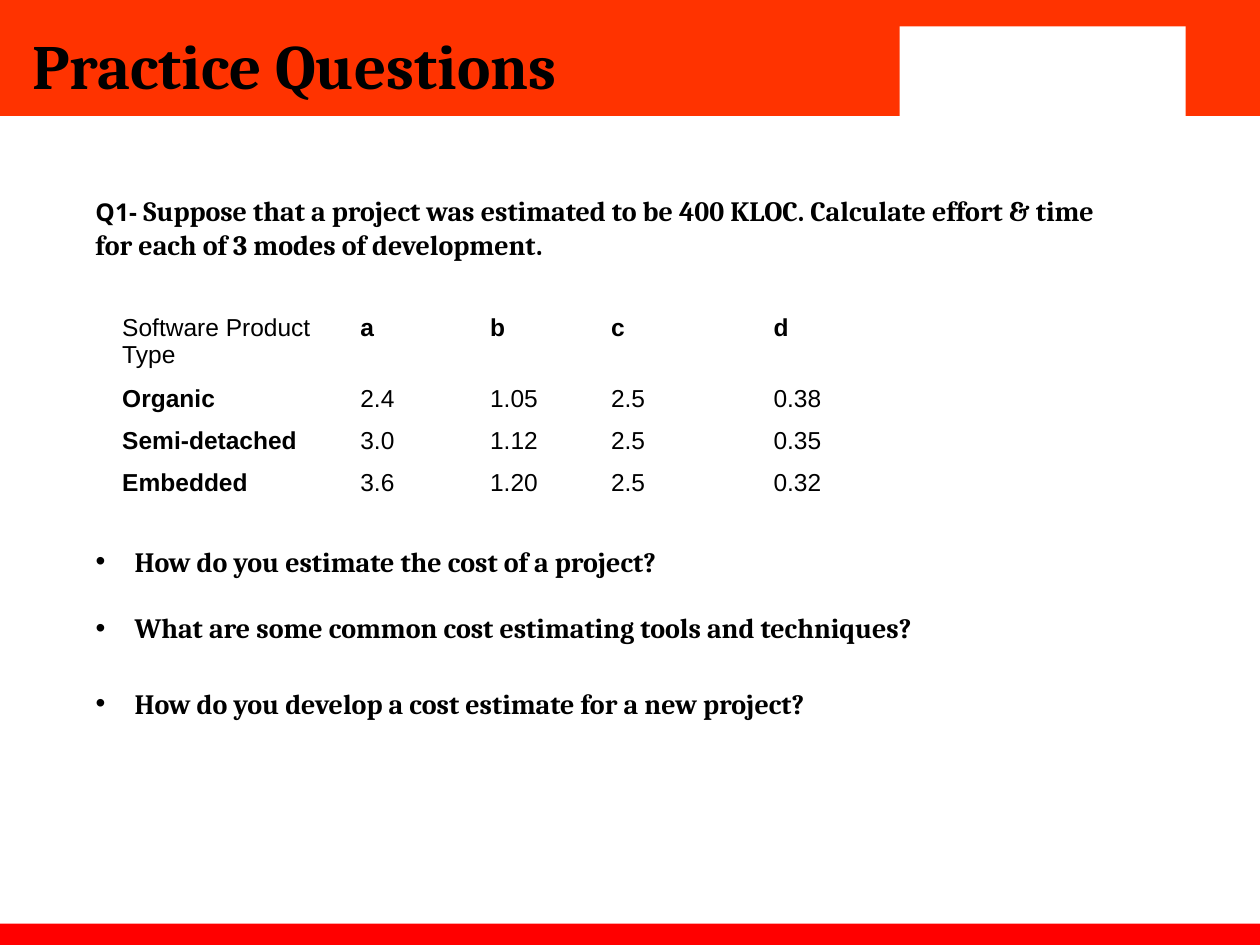
from lxml import etree
from pptx import Presentation
from pptx.dml.color import RGBColor
from pptx.enum.shapes import MSO_SHAPE
from pptx.oxml.ns import qn
from pptx.util import Inches, Pt

ORANGE = RGBColor(0xFF, 0x33, 0x00)
RED = RGBColor(0xFF, 0x00, 0x00)
WHITE = RGBColor(0xFF, 0xFF, 0xFF)
BLACK = RGBColor(0x00, 0x00, 0x00)

COLUMN_WIDTHS = [1.89, 1.03, 0.96, 1.29, 1.29]
ROW_HEIGHTS = [0.57, 0.33, 0.33, 0.33]
COEFFICIENTS = [
    ["Software Product Type", "a", "b", "c", "d"],
    ["Organic", "2.4", "1.05", "2.5", "0.38"],
    ["Semi-detached", "3.0", "1.12", "2.5", "0.35"],
    ["Embedded", "3.6", "1.20", "2.5", "0.32"],
]
QUESTIONS = [
    (4.27, "How do you estimate the cost of a project?"),
    (4.8, "What are some common cost estimating tools and techniques?"),
    (5.4, "How do you develop a cost estimate for a new project?"),
]


def set_font(font, name, size, bold=True):
    font.name = name
    font.size = Pt(size)
    font.bold = bold
    font.color.rgb = BLACK


def add_bar(page, left, top, width, height, color):
    bar = page.shapes.add_shape(MSO_SHAPE.RECTANGLE, Inches(left), Inches(top),
                                Inches(width), Inches(height))
    bar.shadow.inherit = False
    bar.fill.solid()
    bar.fill.fore_color.rgb = color
    bar.line.fill.background()


def add_paragraph_box(page, left, top, width, height):
    """Add a wrapping text box and return its first paragraph."""
    box = page.shapes.add_textbox(Inches(left), Inches(top),
                                  Inches(width), Inches(height))
    box.text_frame.word_wrap = True
    return box.text_frame.paragraphs[0]


def add_title(page, left, top, width, height):
    para = add_paragraph_box(page, left, top, width, height)
    para.text = "Practice Questions"
    set_font(para.font, "Cambria", 36)


def add_first_question(page, left, top, width, height):
    para = add_paragraph_box(page, left, top, width, height)
    label = para.add_run()
    label.text = "Q1- "
    set_font(label.font, "Noto Sans", 14)
    question = para.add_run()
    question.text = ("Suppose that a project was estimated to be 400 KLOC. "
                     "Calculate effort & time for each of 3 modes of development.")
    set_font(question.font, "Cambria", 16)


def add_coefficient_table(page, left, top):
    frame = page.shapes.add_table(
        len(ROW_HEIGHTS), len(COLUMN_WIDTHS), Inches(left), Inches(top),
        Inches(sum(COLUMN_WIDTHS)), Inches(sum(ROW_HEIGHTS)))
    table = frame.table
    table.first_row = False
    table.horz_banding = False
    for column, width in zip(table.columns, COLUMN_WIDTHS):
        column.width = Inches(width)
    for row, height in zip(table.rows, ROW_HEIGHTS):
        row.height = Inches(height)
    for i, values in enumerate(COEFFICIENTS):
        for j, value in enumerate(values):
            cell = table.cell(i, j)
            cell.fill.background()
            cell.text = value
            is_heading = (i == 0) != (j == 0)
            set_font(cell.text_frame.paragraphs[0].font, "Arial", 14, is_heading)


def add_bullet_question(page, text, left, top, width, height):
    para = add_paragraph_box(page, left, top, width, height)
    para.text = text
    properties = para._p.get_or_add_pPr()
    indent = Inches(0.31)
    properties.set("marL", str(indent))
    properties.set("indent", str(-indent))
    etree.SubElement(properties, qn("a:buFont"), typeface="Arial")
    etree.SubElement(properties, qn("a:buChar"), char="•")
    set_font(para.font, "Cambria", 16)


def add_background_bars(page):
    add_bar(page, 0, 0, 10, 0.92, ORANGE)
    add_bar(page, 0, 7.33, 10, 0.22, RED)
    add_bar(page, 7.14, 0.21, 2.27, 0.75, WHITE)


def main():
    deck = Presentation()
    deck.slide_width = Inches(10)
    deck.slide_height = Inches(7.5)
    page = deck.slides.add_slide(deck.slide_layouts[6])
    add_background_bars(page)
    add_title(page, 0.16, 0.16, 7.16, 0.71)
    add_coefficient_table(page, 0.87, 2.44)
    add_first_question(page, 0.66, 1.49, 8.3, 0.64)
    for top, text in QUESTIONS:
        add_bullet_question(page, text, 0.66, top, 7.89, 0.37)
    deck.save("out.pptx")


if __name__ == "__main__":
    main()
